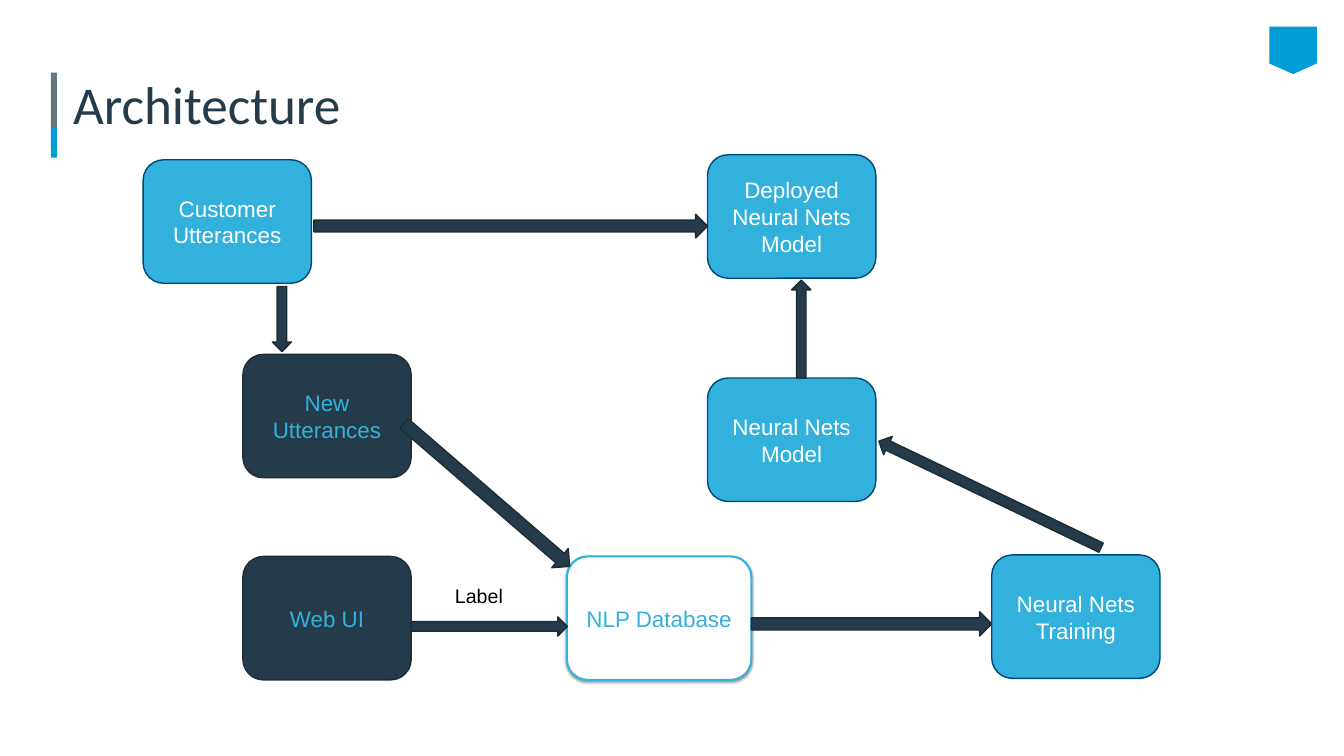
from lxml import etree
from pptx import Presentation
from pptx.dml.color import RGBColor
from pptx.enum.shapes import MSO_SHAPE
from pptx.enum.text import MSO_ANCHOR, MSO_AUTO_SIZE, PP_ALIGN
from pptx.oxml.ns import qn
from pptx.util import Pt

PX = 9144  # EMU per px, 100 px to the inch
TITLE_ONLY = 5
RECT = MSO_SHAPE.RECTANGLE
ROUNDED = MSO_SHAPE.ROUNDED_RECTANGLE
ARROW = MSO_SHAPE.RIGHT_ARROW
MIDDLE, BOTTOM = MSO_ANCHOR.MIDDLE, MSO_ANCHOR.BOTTOM
LEFT, CENTER = PP_ALIGN.LEFT, PP_ALIGN.CENTER
NO_AUTOFIT = MSO_AUTO_SIZE.NONE

WHITE = RGBColor(0xFF, 0xFF, 0xFF)
BLACK = RGBColor(0x00, 0x00, 0x00)
NAVY = RGBColor(0x26, 0x3B, 0x4A)
NAVY_EDGE = RGBColor(0x1C, 0x2C, 0x37)
SKY = RGBColor(0x33, 0xB1, 0xDD)
SKY_EDGE = RGBColor(0x00, 0x48, 0x79)
ACCENT = RGBColor(0x00, 0x9D, 0xD7)
SLATE = RGBColor(0x66, 0x76, 0x81)

# fill, edge, edge width, text colour
MODEL = (SKY, SKY_EDGE, 2, WHITE)
INPUT = (NAVY, NAVY_EDGE, 2, SKY)
STORE = (WHITE, SKY, 3, SKY)

NODE_WIDTH, NODE_HEIGHT = 334, 245
NODES = [
    ("Deployed Neural Nets Model", 1404, 307, NODE_WIDTH, MODEL),
    ("Neural Nets Training", 1968, 1101, NODE_WIDTH, MODEL),
    ("Customer Utterances", 284, 317, NODE_WIDTH, MODEL),
    ("Neural Nets Model", 1404, 750, NODE_WIDTH, MODEL),
    ("New Utterances", 482, 703, NODE_WIDTH, INPUT),
    ("Web UI", 482, 1104, NODE_WIDTH, INPUT),
    ("NLP Database", 1125, 1104, 366, STORE),
]
# left, top, length, thickness, rotation
ARROWS = [
    (623, 425, 781, 47, 0),
    (495, 614, 129, 38, 90),
    (749, 957, 434, 50, 40.8),
    (816, 1224, 310, 38, 0),
    (1491, 1214, 477, 48, 0),
    (1720, 961, 489, 40, 205.6),
    (1493, 634, 194, 38, 270),
]


class Diagram:
    def __init__(self, slide, font="Arial", text_size=32):
        self.slide = slide
        self.font = font
        self.text_size = text_size

    def place(self, left, top, width, height):
        return [length * PX for length in (left, top, width, height)]

    def paint(self, shape, fill, edge=None, edge_width=0):
        shape.shadow.inherit = False
        shape.fill.solid()
        shape.fill.fore_color.rgb = fill
        if edge is None:
            shape.line.fill.background()
        else:
            shape.line.color.rgb = edge
            shape.line.width = Pt(edge_width)

    def set_text(self, frame, text, color, size=None, font=None, align=LEFT):
        frame.text = text
        paragraph = frame.paragraphs[0]
        paragraph.alignment = align
        style = paragraph.runs[0].font
        style.name = font or self.font
        style.size = Pt(size or self.text_size)
        style.color.rgb = color

    def title(self, text, box):
        heading = self.slide.shapes.title
        heading.left, heading.top, heading.width, heading.height = self.place(*box)
        frame = heading.text_frame
        frame.auto_size = NO_AUTOFIT
        frame.vertical_anchor = BOTTOM
        frame.margin_left = frame.margin_right = 6 * PX
        frame.margin_top = frame.margin_bottom = 6 * PX
        self.set_text(frame, text, NAVY, 76, "Calibri")
        frame.paragraphs[0].line_spacing = 0.8

    def bar(self, box, color):
        self.paint(self.slide.shapes.add_shape(RECT, *self.place(*box)), color)

    def flag(self, points, color):
        builder = self.slide.shapes.build_freeform(*points[0], scale=PX)
        builder.add_line_segments(points[1:], close=True)
        self.paint(builder.convert_to_shape(), color)

    def node(self, text, left, top, width, look):
        fill, edge, edge_width, text_color = look
        box = self.place(left, top, width, NODE_HEIGHT)
        node = self.slide.shapes.add_shape(ROUNDED, *box)
        self.paint(node, fill, edge, edge_width)
        node.text_frame.word_wrap = True
        node.text_frame.vertical_anchor = MIDDLE
        self.set_text(node.text_frame, text, text_color, align=CENTER)
        return node

    def drop_shadow(self, shape):
        effects = shape.element.spPr.find(qn("a:effectLst"))
        shadow = etree.SubElement(effects, qn("a:outerShdw"), blurRad="40000",
                                  dist="20000", dir="5400000", rotWithShape="0")
        color = etree.SubElement(shadow, qn("a:srgbClr"), val=str(BLACK))
        etree.SubElement(color, qn("a:alpha"), val="38000")

    def arrow(self, left, top, length, thickness, rotation):
        box = self.place(left, top, length, thickness)
        arrow = self.slide.shapes.add_shape(ARROW, *box)
        arrow.rotation = rotation
        self.paint(arrow, NAVY, NAVY_EDGE, 2)

    def label(self, text, box):
        frame = self.slide.shapes.add_textbox(*self.place(*box)).text_frame
        frame.word_wrap = True
        self.set_text(frame, text, BLACK, 28)


def main():
    deck = Presentation()
    deck.slide_width, deck.slide_height = 2667 * PX, 1500 * PX
    diagram = Diagram(deck.slides.add_slide(deck.slide_layouts[TITLE_ONLY]))

    diagram.flag([(2519, 126), (2566, 147), (2613, 126), (2613, 53), (2519, 53)], ACCENT)
    diagram.bar((101, 144, 12, 111), SLATE)
    diagram.bar((101, 253, 12, 60), ACCENT)
    diagram.title("Architecture", (139, 125, 2278, 149))

    for text, left, top, width, look in NODES:
        node = diagram.node(text, left, top, width, look)
        if look is STORE:
            diagram.drop_shadow(node)
    for arrow in ARROWS:
        diagram.arrow(*arrow)
    diagram.label("Label", (893, 1154, 162, 57))

    deck.save("out.pptx")


if __name__ == "__main__":
    main()
